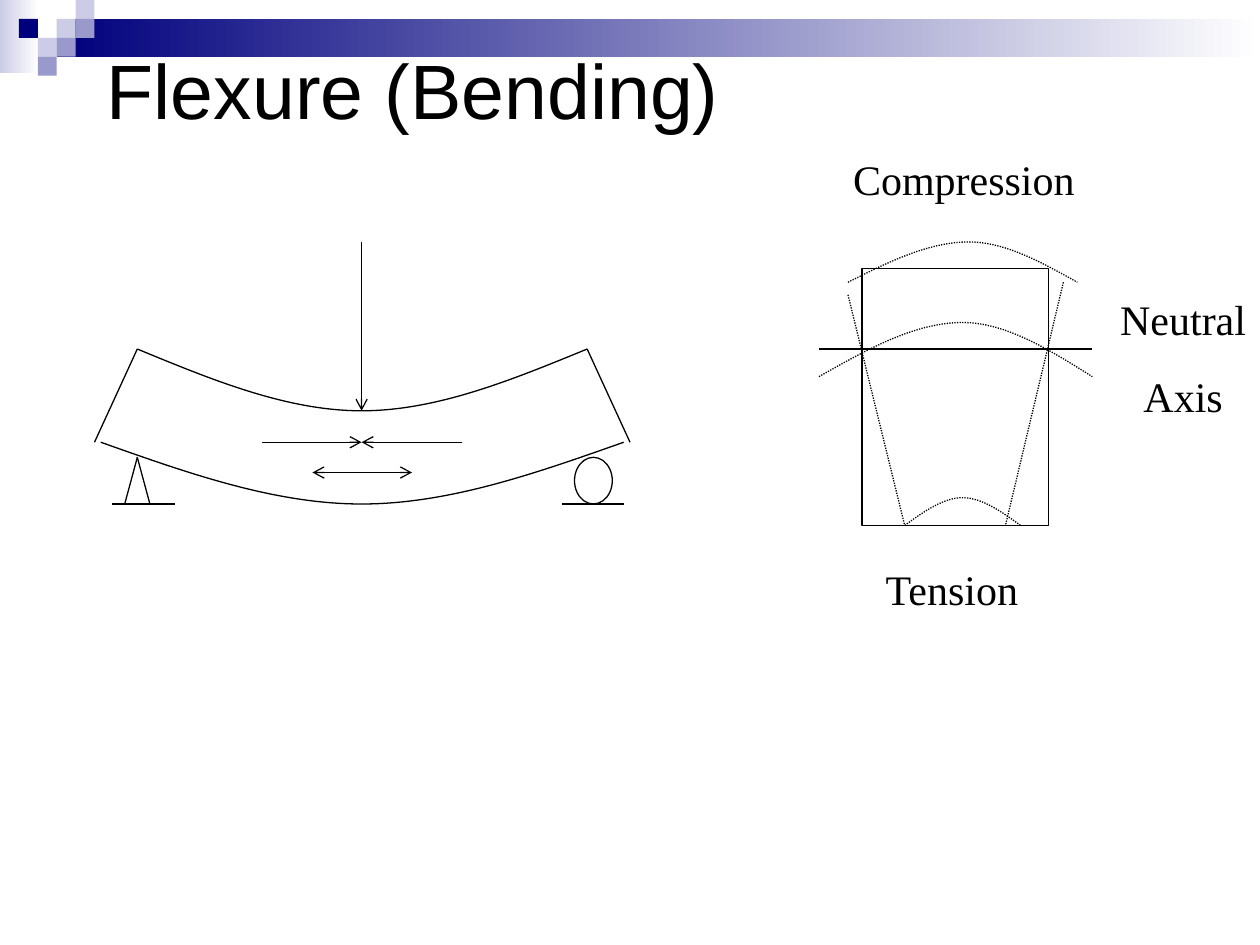
from lxml import etree
from pptx import Presentation
from pptx.dml.color import RGBColor
from pptx.enum.dml import MSO_LINE_DASH_STYLE as DASH
from pptx.enum.shapes import MSO_CONNECTOR, MSO_SHAPE
from pptx.enum.text import MSO_ANCHOR, PP_ALIGN
from pptx.oxml.ns import qn
from pptx.util import Inches, Pt

BLACK, WHITE = "000000", "FFFFFF"
NAVY, LILAC, VIOLET = "00007D", "CCCCE6", "9999CC"
CELL = 0.15  # side of one square in the corner mosaic


def rgb(color):
    return RGBColor.from_string(color)


def style_line(line, dotted=False):
    line.color.rgb = rgb(BLACK)
    line.width = Pt(0.75)
    if dotted:
        line.dash_style = DASH.ROUND_DOT


def add_box(slide, box, fill):
    """Borderless rectangle; a pair of colours makes a left-to-right gradient."""
    s = slide.shapes.add_shape(MSO_SHAPE.RECTANGLE, *map(Inches, box))
    s.shadow.inherit = False
    s.line.fill.background()
    if isinstance(fill, tuple):
        s.fill.gradient()
        s.fill.gradient_angle = 0
        for stop, color in zip(s.fill.gradient_stops, fill):
            stop.color.rgb = rgb(color)
    else:
        s.fill.solid()
        s.fill.fore_color.rgb = rgb(fill)


def add_outline(slide, kind, box):
    s = slide.shapes.add_shape(kind, *map(Inches, box))
    s.shadow.inherit = False
    s.fill.background()
    style_line(s.line)


def add_line(slide, start, end, dotted=False, arrows=()):
    """Straight line; arrows may name headEnd (start) and tailEnd (end)."""
    c = slide.shapes.add_connector(MSO_CONNECTOR.STRAIGHT, *map(Inches, start + end))
    style_line(c.line, dotted)
    ln = c.line._get_or_add_ln()
    for name in arrows:
        etree.SubElement(ln, qn(f"a:{name}"), type="arrow")
    etree.SubElement(c._element.spPr, qn("a:effectLst"))


def add_arch(slide, left, apex, right, dotted=False):
    """Two Bezier curves that meet level at the apex."""
    (x0, y0), (xa, ya), (x1, y1) = left, apex, right
    points = [
        (x0 + (xa - x0) / 3, (y0 + ya) / 2), (x0 + (xa - x0) * 2 / 3, ya), apex,
        (xa + (x1 - xa) / 3, ya), (xa + (x1 - xa) * 2 / 3, (ya + y1) / 2), right,
    ]
    builder = slide.shapes.build_freeform(Inches(x0), Inches(y0))
    builder.add_line_segments([(Inches(x), Inches(y)) for x, y in points], close=False)
    s = builder.convert_to_shape()
    # Turn every three line segments into one cubic curve
    path = next(s._element.iter(qn("a:path")))
    segments = path.findall(qn("a:lnTo"))
    for i in range(0, len(segments), 3):
        curve = etree.SubElement(path, qn("a:cubicBezTo"))
        for segment in segments[i:i + 3]:
            curve.append(segment[0])
            path.remove(segment)
    s.shadow.inherit = False
    s.fill.background()
    style_line(s.line, dotted)


def add_text(slide, box, lines, size, font, align=PP_ALIGN.CENTER, wrap=False):
    tf = slide.shapes.add_textbox(*map(Inches, box)).text_frame
    tf.word_wrap = wrap
    tf.vertical_anchor = MSO_ANCHOR.MIDDLE
    for i, line in enumerate(lines):
        p = tf.add_paragraph() if i else tf.paragraphs[0]
        p.alignment = align
        if i:
            p.space_before = Pt(15)
        r = p.add_run()
        r.text = line
        for name, value in {"size": Pt(size), "name": font}.items():
            setattr(r.font, name, value)
        r.font.color.rgb = rgb(BLACK)


def add_header(slide):
    add_box(slide, (0, 0, 0.31, 0.58), (LILAC, WHITE))
    add_box(slide, (0.45, CELL, 9.55, 0.3), (NAVY, WHITE))
    # Mosaic squares by column and row
    mosaic = {(3, 1): LILAC, (4, 0): LILAC, (4, 1): VIOLET, (2, 2): LILAC,
              (1, 1): NAVY, (3, 2): VIOLET, (2, 3): VIOLET}
    for (col, row), color in mosaic.items():
        add_box(slide, (col * CELL, row * CELL, CELL, CELL), color)
    add_text(slide, (0.75, 0.08, 8.5, 1.25), ["Flexure (Bending)"], 44, "Arial",
             PP_ALIGN.LEFT, True)


def add_beam(slide):
    mid = 2.87
    # Bent beam
    add_arch(slide, (1.09, 2.77), (mid, 3.26), (4.66, 2.77))
    add_arch(slide, (0.8, 3.51), (mid, 4), (4.95, 3.51))
    add_line(slide, (1.09, 2.77), (0.75, 3.51))
    add_line(slide, (4.66, 2.77), (5, 3.51))
    # Pin and roller supports
    for left, right in ((0.89, 1.39), (4.46, 4.95)):
        add_line(slide, (left, 4), (right, 4))
    for foot in (0.99, 1.19):
        add_line(slide, (1.09, 3.63), (foot, 4))
    add_outline(slide, MSO_SHAPE.OVAL, (4.56, 3.63, 0.3, 0.37))
    # Load, compression and tension arrows
    add_line(slide, (mid, 1.92), (mid, 3.26), arrows=["tailEnd"])
    for start in (2.08, 3.67):
        add_line(slide, (start, 3.51), (mid, 3.51), arrows=["tailEnd"])
    add_line(slide, (2.48, 3.75), (3.27, 3.75), arrows=["headEnd", "tailEnd"])


def add_section(slide):
    # Undeformed section and neutral axis
    add_outline(slide, MSO_SHAPE.RECTANGLE, (6.84, 2.13, 1.48, 2.04))
    add_line(slide, (6.5, 2.77), (8.67, 2.77))
    # Deformed shape
    add_arch(slide, (6.5, 2.99), (7.64, 2.56), (8.67, 2.99), dotted=True)
    add_arch(slide, (7.18, 4.17), (7.64, 3.95), (8.1, 4.17), dotted=True)
    add_arch(slide, (6.73, 2.24), (7.69, 1.92), (8.55, 2.24), dotted=True)
    add_line(slide, (6.73, 2.34), (7.18, 4.17), dotted=True)
    add_line(slide, (8.44, 2.24), (7.98, 4.17), dotted=True)
    # Labels
    labels = [((6.67, 1.17, 1.96, 0.5), ["Compression"]),
              ((6.92, 4.42, 1.27, 0.5), ["Tension"]),
              ((8.79, 2.28, 1.2, 1.11), ["Neutral", "Axis"])]
    for box, lines in labels:
        add_text(slide, box, lines, 24, "Times New Roman")


def main():
    prs = Presentation()
    prs.slide_width, prs.slide_height = Inches(10), Inches(7.5)
    slide = prs.slides.add_slide(prs.slide_layouts[6])
    add_header(slide)
    add_beam(slide)
    add_section(slide)
    prs.save("out.pptx")


if __name__ == "__main__":
    main()
